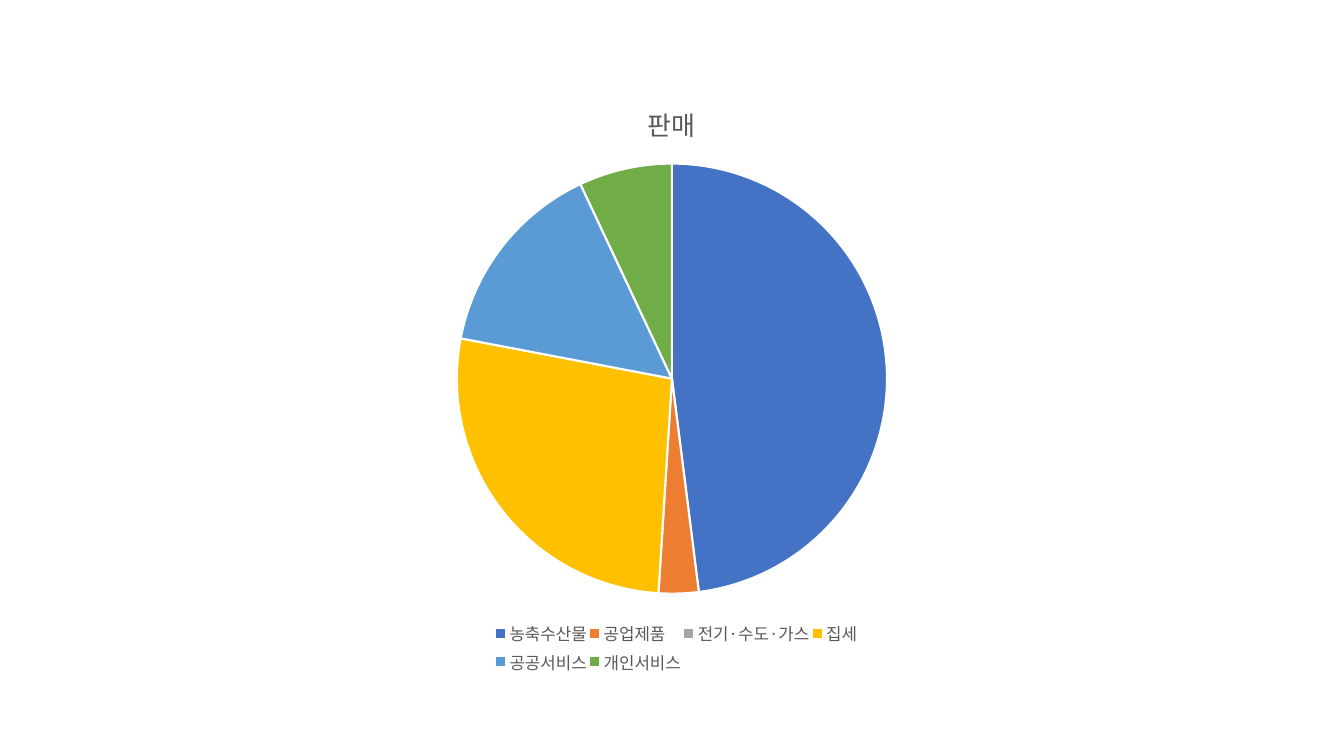
"""Build a slide with a pie chart of sales by category."""
from dataclasses import dataclass

from lxml import etree
from pptx import Presentation
from pptx.chart.data import CategoryChartData
from pptx.dml.color import RGBColor
from pptx.enum import chart as charts
from pptx.oxml.ns import qn
from pptx.util import Pt

FONT = "Noto Sans CJK KR"
TITLE = "판매"
GREY = "595959"


@dataclass(frozen=True)
class Slice:
    """One category of the pie."""
    name: str
    value: int
    color: str


@dataclass(frozen=True)
class Frame:
    """A box given in fractions of the chart area."""
    x: float
    y: float
    w: float
    h: float


SLICES = [
    Slice("농축수산물", 48, "4472C4"),
    Slice("공업제품", 3, "ED7D31"),
    Slice("전기·수도·가스", 0, "A5A5A5"),
    Slice("집세", -27, "FFC000"),
    Slice("공공서비스", 15, "5B9BD5"),
    Slice("개인서비스", -7, "70AD47"),
]
PIE = Frame(0.26, 0.14, 0.48, 0.72)
LEGEND = Frame(0.3, 0.9, 0.41, 0.1)


def rgb(color: str) -> RGBColor:
    """Turn a hex string into a colour."""
    return RGBColor.from_string(color)


def set_font(font, *, size: float, color: str) -> None:
    """Format a font of the chart."""
    font.name = FONT
    font.size = Pt(size)
    font.bold = False
    font.color.rgb = rgb(color)


def set_text(tf, text: str, *, size: float, color: str) -> None:
    """Write one formatted run into a text frame."""
    r = tf.paragraphs[0].add_run()
    r.text = text
    set_font(r.font, size=size, color=color)


def set_layout(parent, index: int, frame: Frame, *, inner: bool = False) -> None:
    """Place a chart part by a manual layout."""
    for old in parent.findall(qn("c:layout")):
        parent.remove(old)
    layout = etree.Element(qn("c:layout"))
    manual = etree.SubElement(layout, qn("c:manualLayout"))
    settings = [("layoutTarget", "inner")] if inner else []
    settings += [("xMode", "edge"), ("yMode", "edge")]
    settings += [(key, str(getattr(frame, key))) for key in "xywh"]
    for tag, val in settings:
        etree.SubElement(manual, qn(f"c:{tag}")).set("val", val)
    parent.insert(index, layout)


def set_east_asian_font(root) -> None:
    """Use each Latin typeface for East Asian text as well."""
    for latin in list(root.iter(qn("a:latin"))):
        ea = etree.Element(qn("a:ea"))
        ea.set("typeface", latin.get("typeface"))
        latin.addnext(ea)


def add_pie(s, slices: list[Slice]) -> None:
    """Draw the pie chart with its title and legend."""
    data = CategoryChartData()
    data.categories = [item.name for item in slices]
    data.add_series(TITLE, [item.value for item in slices])
    chart = s.shapes.add_chart(charts.XL_CHART_TYPE.PIE, Pt(160), Pt(57),
                               Pt(640), Pt(427), data).chart
    set_font(chart.font, size=10, color="000000")
    chart.has_title = True
    set_text(chart.chart_title.text_frame, TITLE, size=18.6, color=GREY)

    chart.has_legend = True
    legend = chart.legend
    legend.position = charts.XL_LEGEND_POSITION.BOTTOM
    legend.include_in_layout = False
    set_font(legend.font, size=12, color=GREY)

    plot = chart.plots[0]
    plot.vary_by_categories = True
    for i, item in enumerate(slices):
        fmt = plot.series[0].points[i].format
        fmt.fill.solid()
        fmt.fill.fore_color.rgb = rgb(item.color)
        fmt.line.color.rgb = rgb("FFFFFF")
        fmt.line.width = Pt(1.5)

    root = chart.element
    set_layout(root.find(".//" + qn("c:plotArea")), 0, PIE, inner=True)
    set_layout(root.find(".//" + qn("c:legend")), 1, LEGEND)
    set_east_asian_font(root)


def main() -> None:
    """Create and save the presentation."""
    prs = Presentation()
    prs.slide_width, prs.slide_height = Pt(960), Pt(540)
    s = prs.slides.add_slide(prs.slide_layouts[6])
    add_pie(s, SLICES)
    prs.save("out.pptx")


main()
